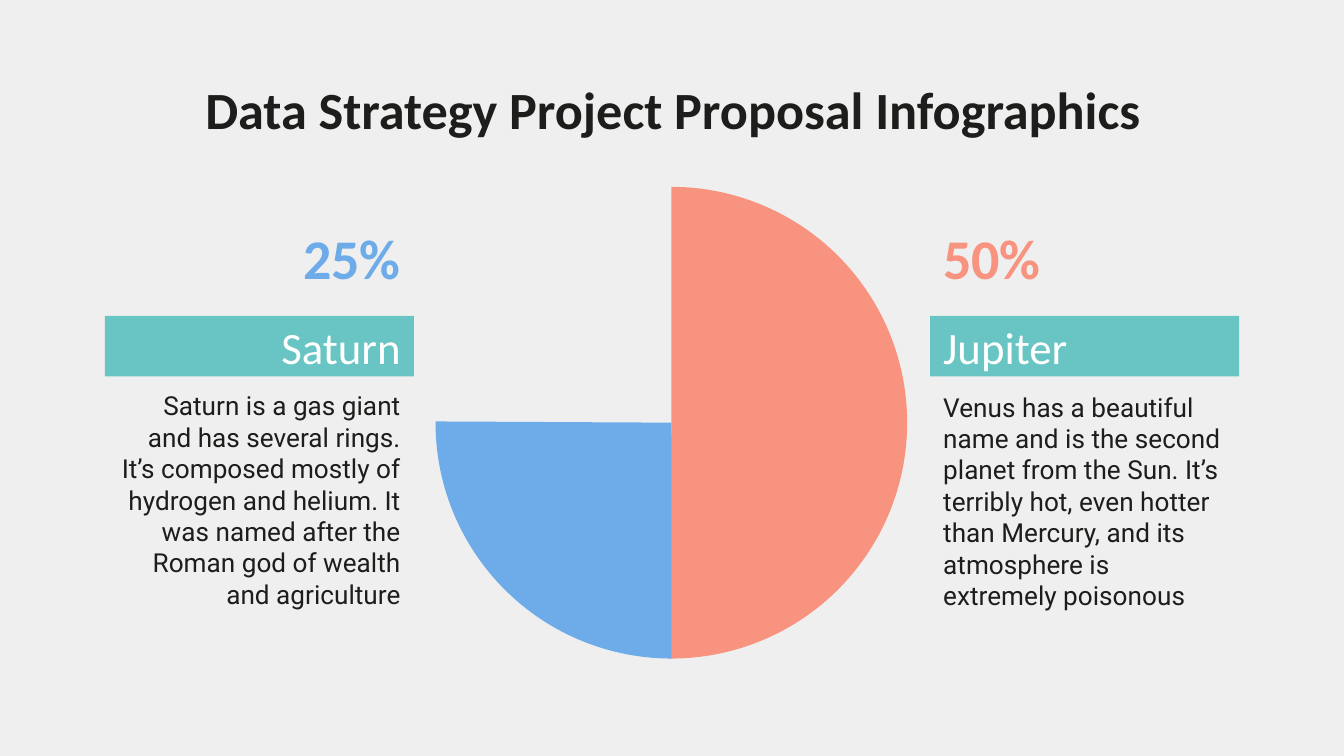
from pptx import Presentation
from pptx.dml.color import RGBColor
from pptx.enum import shapes, text
from pptx.util import Inches, Pt

BACKGROUND = RGBColor(0xEF, 0xEF, 0xEF)
INK = RGBColor(0x1D, 0x1D, 0x1B)
WHITE = RGBColor(0xFF, 0xFF, 0xFF)
TEAL = RGBColor(0x68, 0xC5, 0xC3)
BLUE = RGBColor(0x6E, 0xAB, 0xE9)
CORAL = RGBColor(0xF7, 0x93, 0x7F)

LEFT, CENTER, RIGHT = text.PP_ALIGN.LEFT, text.PP_ALIGN.CENTER, text.PP_ALIGN.RIGHT
TOP, MIDDLE = text.MSO_ANCHOR.TOP, text.MSO_ANCHOR.MIDDLE

TITLE_FONT = {"name": "Calibri", "size": Pt(28), "bold": True}
PERCENT_FONT = {"name": "Calibri", "size": Pt(30), "bold": True}
PLANET_FONT = {"name": "Calibri", "size": Pt(24), "bold": False}
BODY_FONT = {"name": "Roboto", "size": Pt(14), "bold": False}

COLUMN_WIDTH, PERCENT_WIDTH = 2.3, 1.25
PIE_SIZE = 3.51
ADJUSTMENT_PER_DEGREE = 0.6  # 60000 angle units per degree, scaled by 100000

# planet, percentage, colour, column left, alignment, description top, description
SIDES = [
    ("Saturn", "25%", BLUE, 0.78, RIGHT, 2.8,
     "Saturn is a gas giant and has several rings. It’s composed mostly of "
     "hydrogen and helium. It was named after the Roman god of wealth and agriculture"),
    ("Jupiter", "50%", CORAL, 6.92, LEFT, 2.81,
     "Venus has a beautiful name and is the second planet from the Sun. It’s "
     "terribly hot, even hotter than Mercury, and its atmosphere is extremely poisonous"),
]


def write(shape, wording, font, color, align, anchor=MIDDLE):
    frame = shape.text_frame
    frame_format = {"word_wrap": True, "auto_size": text.MSO_AUTO_SIZE.NONE,
                    "vertical_anchor": anchor}
    for side in ("left", "top", "right", "bottom"):
        frame_format[f"margin_{side}"] = Inches(0.1)
    for name, value in frame_format.items():
        setattr(frame, name, value)
    paragraph = frame.paragraphs[0]
    paragraph.alignment = align
    run = paragraph.add_run()
    run.text = wording
    for name, value in font.items():
        setattr(run.font, name, value)
    run.font.color.rgb = color


def add_title(slide, wording):
    title = slide.shapes.title
    place = {"left": 0.79, "top": 0.49, "width": 8.43, "height": 0.63}
    for name, value in place.items():
        setattr(title, name, Inches(value))
    write(title, wording, TITLE_FONT, INK, CENTER)


def add_filled(parent, preset, box, color):
    shape = parent.shapes.add_shape(preset, *map(Inches, box))
    shape.shadow.inherit = False
    shape.fill.solid()
    shape.fill.fore_color.rgb = color
    shape.line.fill.background()
    return shape


def add_text(parent, box, *wording_and_format):
    write(parent.shapes.add_textbox(*map(Inches, box)), *wording_and_format)


def add_sector(slide, rotation, degrees, color):
    sector = add_filled(slide, shapes.MSO_SHAPE.PIE,
                        (3.24, 1.39, PIE_SIZE, PIE_SIZE), color)
    sector.rotation = rotation
    sector.adjustments[0] = 0
    sector.adjustments[1] = degrees * ADJUSTMENT_PER_DEGREE


def add_planet(slide, planet, left, align, description_top, description):
    group = slide.shapes.add_group_shape()
    banner = add_filled(group, shapes.MSO_SHAPE.RECTANGLE,
                        (left, 2.35, COLUMN_WIDTH, 0.45), TEAL)
    write(banner, planet, PLANET_FONT, WHITE, align)
    add_text(group, (left, description_top, COLUMN_WIDTH, 1.89),
             description, BODY_FONT, INK, align, TOP)


def add_percentage(slide, percentage, color, left, align):
    if align == RIGHT:
        left += COLUMN_WIDTH - PERCENT_WIDTH
    add_text(slide, (left, 1.6, PERCENT_WIDTH, 0.63),
             percentage, PERCENT_FONT, color, align)


def main():
    deck = Presentation()
    deck.slide_width = Inches(10)
    deck.slide_height = deck.slide_width * 9 // 16
    slide = deck.slides.add_slide(deck.slide_layouts.get_by_name("Title Only"))
    slide.background.fill.solid()
    slide.background.fill.fore_color.rgb = BACKGROUND

    add_title(slide, "Data Strategy Project Proposal Infographics")
    add_sector(slide, 270, 180.32, CORAL)
    add_sector(slide, 90, 90.3, BLUE)
    for planet, _, _, left, align, description_top, description in SIDES:
        add_planet(slide, planet, left, align, description_top, description)
    for _, percentage, color, left, align, _, _ in SIDES:
        add_percentage(slide, percentage, color, left, align)
    deck.save("out.pptx")


if __name__ == "__main__":
    main()
